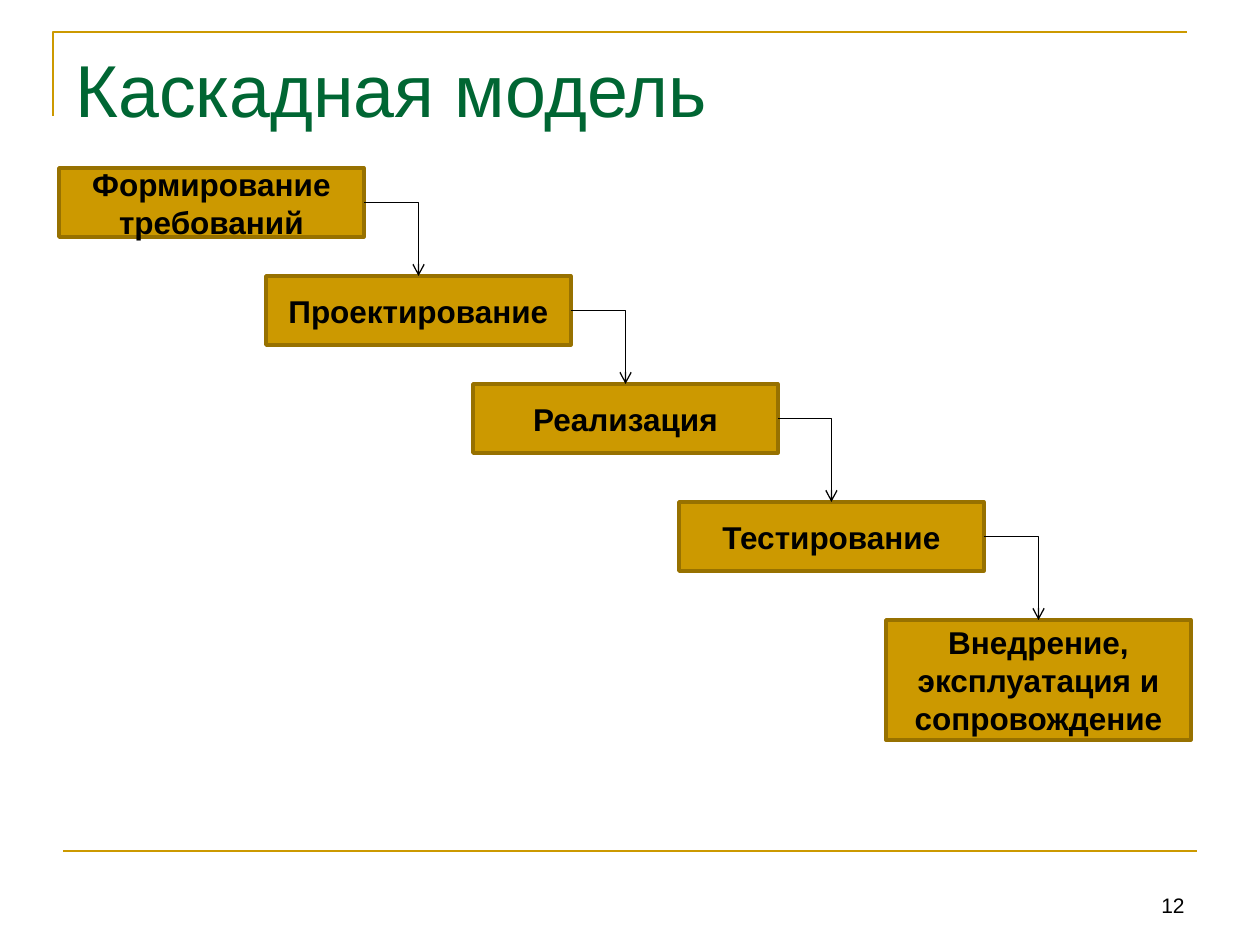
from lxml import etree
from pptx import Presentation
from pptx.dml.color import RGBColor
from pptx.enum.shapes import MSO_CONNECTOR, MSO_SHAPE
from pptx.enum.text import MSO_ANCHOR, PP_ALIGN
from pptx.oxml.ns import qn
from pptx.util import Pt

PX = 914400 / 126
RECT = MSO_SHAPE.RECTANGLE
ELBOW, LINE = MSO_CONNECTOR.ELBOW, MSO_CONNECTOR.STRAIGHT
TOP, MID, LOW = MSO_ANCHOR.TOP, MSO_ANCHOR.MIDDLE, MSO_ANCHOR.BOTTOM
LEFT, MITTE, RIGHT = PP_ALIGN.LEFT, PP_ALIGN.CENTER, PP_ALIGN.RIGHT
COLORS = {"gold": "CC9900", "edge": "977100", "green": "006633", "ink": "000000"}
STEPS = [
    (168, 69, "Формирование\nтребований"),
    (276, 69, "Проектирование"),
    (384, 69, "Реализация"),
    (502, 69, "Тестирование"),
    (620, 120, "Внедрение,\nэксплуатация и сопровождение"),
]


def emu(*pixels):
    """Turn pixels into EMU."""
    return [round(p * PX) for p in pixels]


def color(name):
    """Look up a colour by name."""
    return RGBColor.from_string(COLORS[name])


def stroke(shape, name, width):
    """Set the line colour and width of a shape."""
    shape.line.color.rgb = color(name)
    shape.line.width = Pt(width)


def write(shape, text, size, name, align, anchor, bold=False):
    """Fill a shape with formatted text."""
    frame = shape.text_frame
    frame.word_wrap = True
    frame.vertical_anchor = anchor
    frame.text = text
    for par in frame.paragraphs:
        par.alignment = align
        par.font.name = "Arial"
        par.font.size = Pt(size)
        par.font.bold = bold
        par.font.color.rgb = color(name)


def link(slide, kind, ends, name, width):
    """Draw a connector without shadow."""
    wire = slide.shapes.add_connector(kind, *emu(*ends))
    stroke(wire, name, width)
    etree.SubElement(wire._element.spPr, qn("a:effectLst"))
    return wire


def frame(slide, x, y, w, h):
    """Draw the corner line and the footer rule."""
    pen = slide.shapes.build_freeform(*emu(x, y + 84))
    pen.add_line_segments([emu(x, y), emu(x + w, y)], close=False)
    corner = pen.convert_to_shape()
    corner.shadow.inherit = False
    corner.fill.background()
    stroke(corner, "gold", 1.5)
    link(slide, LINE, (x + 10, y + h, x + 10 + w, y + h), "gold", 1.5)


def label(slide, box, *style):
    """Place a text box."""
    write(slide.shapes.add_textbox(*emu(*box)), *style)


def block(slide, box, text):
    """Place one step of the cascade."""
    shape = slide.shapes.add_shape(RECT, *emu(*box))
    shape.shadow.inherit = False
    shape.fill.solid()
    shape.fill.fore_color.rgb = color("gold")
    stroke(shape, "edge", 2)
    write(shape, text, 18, "ink", MITTE, MID, True)
    return shape


def arrow(slide, src, dst):
    """Join the right side of one step to the top of the next."""
    wire = link(slide, ELBOW, (0, 0, 0, 0), "ink", 0.75)
    wire.begin_connect(src, 3)
    wire.end_connect(dst, 0)
    wire._element.spPr.find(qn("a:prstGeom")).set("prst", "bentConnector2")
    etree.SubElement(wire.line._get_or_add_ln(), qn("a:tailEnd"), type="arrow")


def cascade(slide, x, y, w):
    """Lay the steps out as a staircase and join them."""
    side = 305
    stride = (w - side) / (len(STEPS) - 1)
    first = STEPS[0][0]
    blocks = [
        block(slide, (x + round(i * stride), y + top - first, side, h), text)
        for i, (top, h, text) in enumerate(STEPS)
    ]
    for src, dst in zip(blocks, blocks[1:]):
        arrow(slide, src, dst)


def main():
    """Build and save the slide."""
    deck = Presentation()
    deck.slide_width, deck.slide_height = emu(1260, 945)
    slide = deck.slides.add_slide(deck.slide_layouts[6])
    frame(slide, 53, 32, 1134, 819)
    label(slide, (63, 38, 1134, 157), "Каскадная модель", 42, "green", LEFT, TOP)
    label(slide, (903, 861, 294, 63), "12", 12, "ink", RIGHT, LOW)
    cascade(slide, 59, 168, 1132)
    deck.save("out.pptx")


main()
